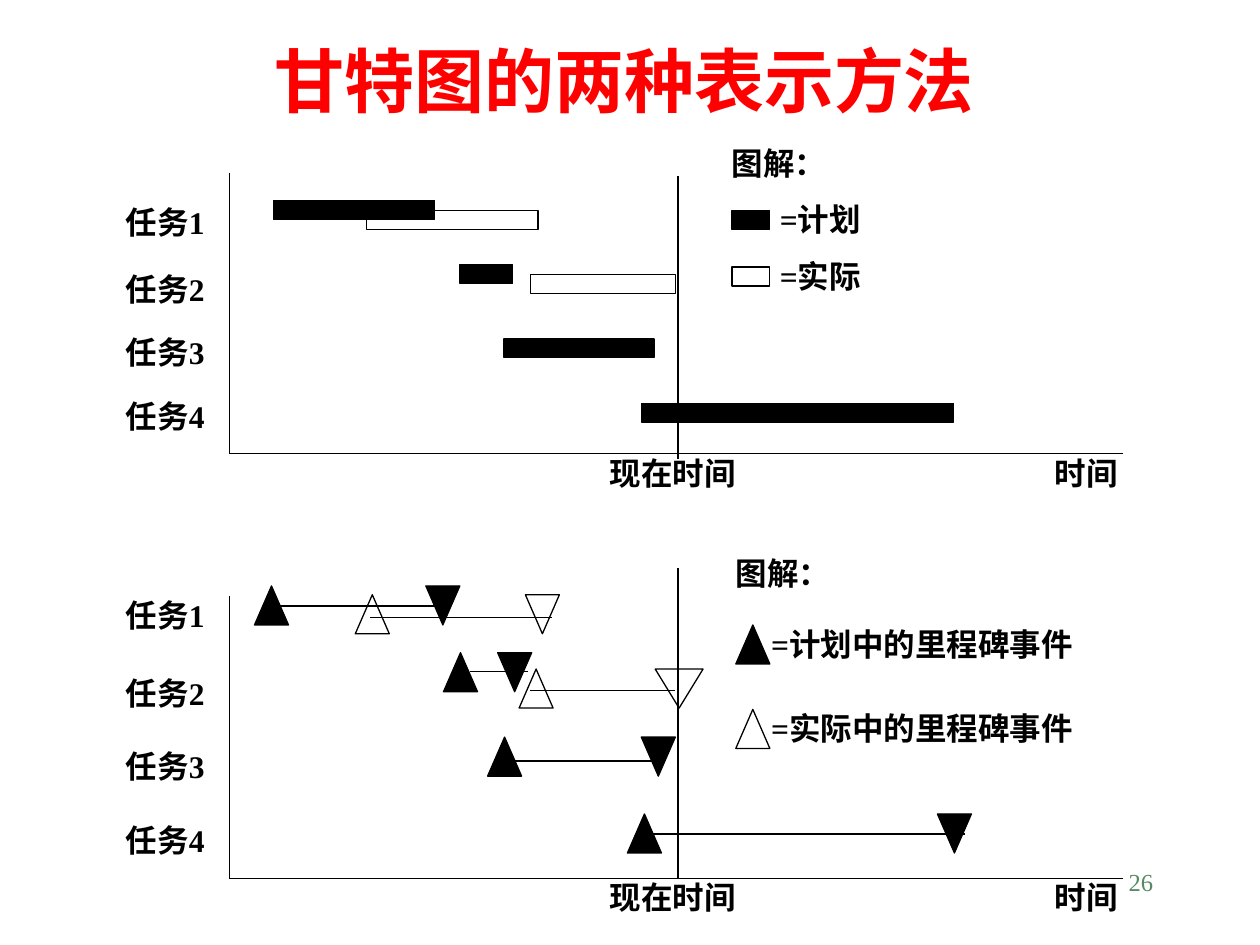
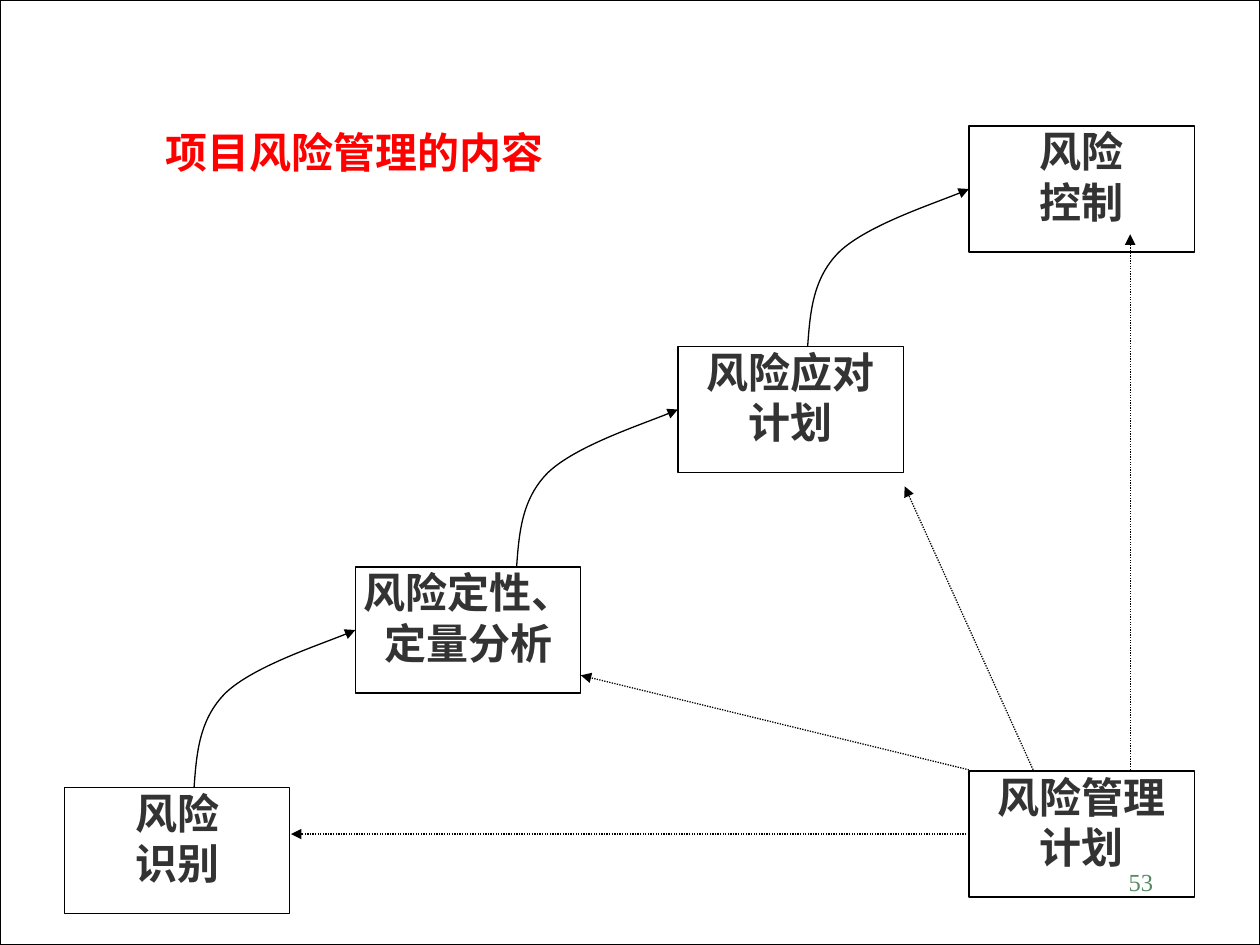
from lxml.etree import SubElement
from pptx import Presentation
from pptx.dml.color import RGBColor
from pptx.enum.dml import MSO_LINE
from pptx.enum.lang import MSO_LANGUAGE_ID
from pptx.enum.shapes import MSO_CONNECTOR, MSO_SHAPE
from pptx.enum.text import MSO_ANCHOR, MSO_AUTO_SIZE, PP_ALIGN
from pptx.oxml.ns import qn
from pptx.util import Inches, Pt

COLORS = {
    "ink": "000000",
    "paper": "FFFFFF",
    "title": "FF0000",
    "step": "333333",
    "number": "578963",
}
FONT = "Times New Roman"
LINE_WIDTH = Pt(0.75)
BAR_HEIGHT = 0.15
MARK_WIDTH = 0.27
MARK_HEIGHT = 0.31
AXIS_LEFT, AXIS_RIGHT, NOW = 1.82, 8.91, 5.38
STEP_WIDTH, STEP_HEIGHT = 1.79, 1
CURVE = [(0, 1.25), (0.02, 0.98), (0.04, 0.71), (0.25, 0.5),
         (0.47, 0.29), (1.11, 0.08), (1.28, 0)]


def color(name):
    return RGBColor.from_string(COLORS[name])


def paint(shape, fill=None, outline=True):
    if fill:
        shape.fill.solid()
        shape.fill.fore_color.rgb = color(fill)
    else:
        shape.fill.background()
    if outline:
        shape.line.color.rgb = color("ink")
        shape.line.width = LINE_WIDTH
    else:
        shape.line.fill.background()
    shape.shadow.inherit = False


def write(shape, lines, size, tint, align, bold=True, insets=(0, 0)):
    frame = shape.text_frame
    frame.word_wrap = True
    frame.auto_size = MSO_AUTO_SIZE.NONE
    frame.vertical_anchor = MSO_ANCHOR.TOP
    frame.margin_left = frame.margin_right = Inches(insets[0])
    frame.margin_top = frame.margin_bottom = Inches(insets[1])
    for index, line in enumerate(lines):
        paragraph = frame.add_paragraph() if index else frame.paragraphs[0]
        paragraph.alignment = align
        span = paragraph.add_run()
        span.text = line
        span.font.name = FONT
        span.font.size = Pt(size)
        span.font.bold = bold
        span.font.color.rgb = color(tint)
        span.font.language_id = MSO_LANGUAGE_ID.SIMPLIFIED_CHINESE


def add_box(page, kind, left, top, width, height, fill=None):
    box = page.shapes.add_shape(
        kind, Inches(left), Inches(top), Inches(width), Inches(height))
    paint(box, fill)
    return box


def add_label(page, text, left, top, width, height=0.45):
    box = page.shapes.add_textbox(
        Inches(left), Inches(top), Inches(width), Inches(height))
    paint(box, "paper", outline=False)
    write(box, [text], 18, "ink", PP_ALIGN.JUSTIFY)


def add_arrowhead(shape):
    outline = shape.line._get_or_add_ln()
    SubElement(outline, qn("a:tailEnd"), type="triangle")


def add_line(page, start, end):
    line = page.shapes.add_connector(
        MSO_CONNECTOR.STRAIGHT, *[Inches(value) for value in (*start, *end)])
    line.line.color.rgb = color("ink")
    line.line.width = LINE_WIDTH
    SubElement(line._element.spPr, qn("a:effectLst"))
    return line


def add_dotted_arrow(page, start, end):
    arrow = add_line(page, start, end)
    arrow.line.dash_style = MSO_LINE.ROUND_DOT
    add_arrowhead(arrow)
    return arrow


def add_curved_arrow(page, left, top):
    points = [(Inches(left + x), Inches(top + y)) for x, y in CURVE]
    builder = page.shapes.build_freeform(*points[0])
    builder.add_line_segments(points[1:], close=False)
    curve = builder.convert_to_shape()
    segments = curve._element.xpath(".//a:lnTo")
    outline = segments[0].getparent()
    for first in range(0, len(segments), 3):
        bend = SubElement(outline, qn("a:cubicBezTo"))
        for segment in segments[first:first + 3]:
            bend.append(segment[0])
            outline.remove(segment)
    paint(curve)
    add_arrowhead(curve)


def add_title(page, text, size, place, insets):
    title = page.shapes.title
    title.left, title.top, title.width, title.height = [
        Inches(value) for value in place]
    write(title, [text], size, "title", PP_ALIGN.CENTER, insets=insets)


def add_page_number(page, number):
    box = page.shapes.add_textbox(
        Inches(7.17), Inches(6.83), Inches(2.08), Inches(0.5))
    write(box, [number], 14, "number", PP_ALIGN.RIGHT, bold=False,
          insets=(0.1, 0.05))


def add_axes(page, top, now_top, bottom, now_bottom, task_tops):
    add_label(page, "时间", 8.37, bottom, 0.55)
    add_label(page, "现在时间", 4.84, bottom, 1.09)
    for number, task_top in enumerate(task_tops, 1):
        add_label(page, f"任务{number}", 1, task_top, 0.73, 0.36)
    add_line(page, (AXIS_LEFT, top), (AXIS_LEFT, bottom))
    add_line(page, (AXIS_LEFT, bottom), (AXIS_RIGHT, bottom))
    add_line(page, (NOW, now_top), (NOW, now_bottom))


def add_bar(page, left, top, width, fill=None):
    add_box(page, MSO_SHAPE.RECTANGLE, left, top, width, BAR_HEIGHT, fill)


def add_mark(page, kind, left, top, fill=None, width=MARK_WIDTH):
    add_box(page, kind, left, top, width, MARK_HEIGHT, fill)


def add_bar_chart(page):
    add_axes(page, 1.37, 1.4, 3.6, 3.64, [1.61, 2.14, 2.64, 3.15])
    add_label(page, "图解：", 5.81, 1.14, 1.3, 0.37)
    for text, top, fill in [("=计划", 1.59, "ink"), ("=实际", 2.04, None)]:
        add_label(page, text, 6.19, top, 1.09)
        add_bar(page, 5.81, top + 0.08, 0.3, fill)
    for left, top, width in [(2.17, 1.59, 1.28), (3.65, 2.1, 0.42),
                             (4, 2.69, 1.19), (5.09, 3.2, 2.48)]:
        add_bar(page, left, top, width, "ink")
    for left, top, width in [(2.91, 1.67, 1.36), (4.21, 2.18, 1.15)]:
        add_bar(page, left, top, width)


def add_milestone_chart(page):
    add_axes(page, 4.73, 4.51, 6.97, 6.97, [4.73, 5.35, 5.93, 6.52])
    add_label(page, "图解：", 5.84, 4.4, 1.39, 0.47)
    for text, top, fill in [("=计划中的里程碑事件", 4.96, "ink"),
                            ("=实际中的里程碑事件", 5.63, None)]:
        add_label(page, text, 6.12, top, 2.73)
        add_mark(page, MSO_SHAPE.FLOWCHART_EXTRACT, 5.84, top, fill)
    spans = [
        (2.02, 3.38, 4.65, "ink", MARK_WIDTH, 2.09, 3.45, 4.81),
        (2.82, 4.17, 4.72, None, MARK_WIDTH, 2.94, 4.38, 4.9),
        (3.52, 3.95, 5.18, "ink", MARK_WIDTH, 3.73, 4.19, 5.33),
        (4.12, 5.2, 5.31, None, 0.38, 4.21, 5.36, 5.48),
        (3.87, 5.09, 5.85, "ink", MARK_WIDTH, 4.02, 5.2, 6.04),
        (4.98, 7.44, 6.46, "ink", MARK_WIDTH, 5.12, 7.66, 6.62),
    ]
    for start, finish, top, fill, width, line_from, line_to, line_y in spans:
        add_mark(page, MSO_SHAPE.FLOWCHART_EXTRACT, start, top, fill)
        add_mark(page, MSO_SHAPE.FLOWCHART_MERGE, finish, top, fill, width)
        add_line(page, (line_from, line_y), (line_to, line_y))


def add_step(page, lines, left, top):
    box = add_box(page, MSO_SHAPE.RECTANGLE, left, top,
                  STEP_WIDTH, STEP_HEIGHT, "paper")
    write(box, lines, 24, "step", PP_ALIGN.CENTER)
    return box


def build_gantt_page(page):
    add_title(page, "甘特图的两种表示方法", 40, (1.27, 0.25, 7.37, 0.67),
              (0.1, 0.05))
    add_bar_chart(page)
    add_milestone_chart(page)
    add_page_number(page, "26")


def build_risk_page(page):
    add_title(page, "项目风险管理的内容", 24, (1.02, 1, 3.59, 1), (0, 0))
    add_box(page, MSO_SHAPE.RECTANGLE, 0, 0, 10, 7.5)
    steps = [
        (["风险", "识别"], 0.51, 6.25),
        (["风险定性、", "定量分析"], 2.82, 4.5),
        (["风险应对", "计划"], 5.38, 2.75),
        (["风险", "控制"], 7.69, 1),
    ]
    for lines, left, top in steps:
        add_step(page, lines, left, top)
    for _, left, top in steps[1:]:
        add_curved_arrow(page, left - CURVE[-1][0], top + STEP_HEIGHT / 2)
    plan = add_step(page, ["风险管理", "计划"], 7.69, 6.12)
    to_identify = add_dotted_arrow(page, (7.69, 6.62), (2.31, 6.62))
    to_identify.begin_connect(plan, 1)
    for start_x, end in [(8.97, (8.97, 1.86)), (8.2, (7.18, 3.86)),
                         (7.69, (4.61, 5.36))]:
        add_dotted_arrow(page, (start_x, 6.11), end)
    add_page_number(page, "53")


def main():
    deck = Presentation()
    deck.slide_width = Inches(10)
    deck.slide_height = Inches(7.5)
    for build in (build_gantt_page, build_risk_page):
        page = deck.slides.add_slide(deck.slide_layouts[5])
        page.background.fill.solid()
        page.background.fill.fore_color.rgb = color("paper")
        build(page)
    deck.save("out.pptx")


if __name__ == "__main__":
    main()
